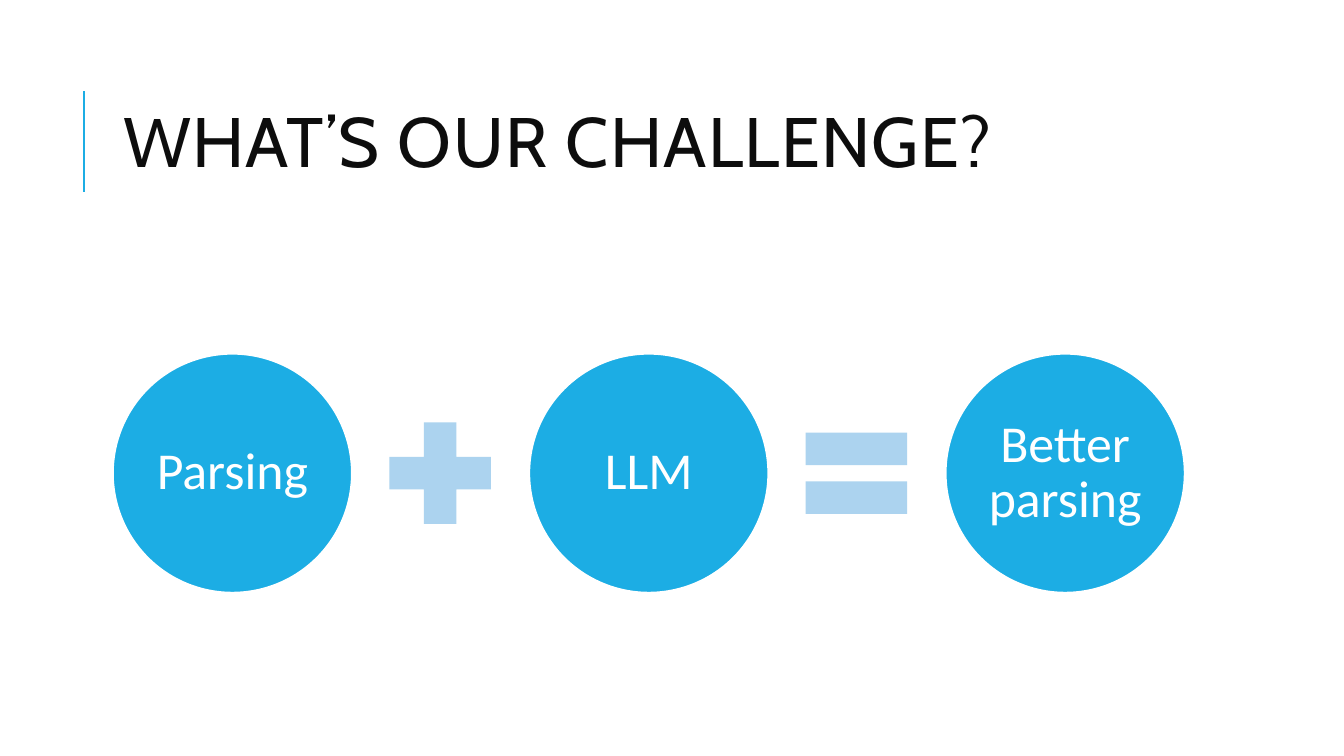
from pptx import Presentation
from pptx.dml.color import RGBColor
from pptx.enum.shapes import MSO_CONNECTOR, MSO_SHAPE
from pptx.enum.text import MSO_ANCHOR, MSO_AUTO_SIZE, PP_ALIGN
from pptx.oxml.ns import qn
from pptx.util import Pt
from lxml import etree

PX = 9144  # 100 px to the inch
COLORS = {"accent": "1CADE4", "operator": "ACD3EF", "title": "0D0D0D", "white": "FFFFFF"}
STRAIGHT = MSO_CONNECTOR.STRAIGHT
ELLIPSE, PLUS, EQUAL = MSO_SHAPE.OVAL, MSO_SHAPE.MATH_PLUS, MSO_SHAPE.MATH_EQUAL
MIDDLE, LEFT, CENTER = MSO_ANCHOR.MIDDLE, PP_ALIGN.LEFT, PP_ALIGN.CENTER
NO_AUTOFIT = MSO_AUTO_SIZE.NONE

TERMS = ["Parsing", "LLM", "Better parsing"]
OPERATORS = [PLUS, EQUAL]


def px(*lengths):
    return [length * PX for length in lengths]


def color(name):
    return RGBColor.from_string(COLORS[name])


def set_all(target, values):
    for name, value in values.items():
        setattr(target, name, value)


def write_text(shape, text, align, line_spacing, space_after, font):
    frame = shape.text_frame
    set_all(frame, {"word_wrap": True, "auto_size": NO_AUTOFIT, "vertical_anchor": MIDDLE})
    paragraph = frame.paragraphs[0]
    set_all(paragraph, {"alignment": align, "line_spacing": line_spacing,
                        "space_after": Pt(space_after)})
    run = paragraph.add_run()
    run.text = text
    name, size, color_name = font
    set_all(run.font, {"name": name, "size": Pt(size)})
    run.font.color.rgb = color(color_name)
    return run


def add_title(slide, left, top, width, height):
    rule_left, rule_top, rule_bottom = left - 29, top + 26, top + 126
    rule = slide.shapes.add_connector(STRAIGHT, *px(rule_left, rule_bottom, rule_left, rule_top))
    rule.line.color.rgb = color("accent")
    rule.line.width = Pt(1.5)
    etree.SubElement(rule._element.spPr, qn("a:effectLst"))

    title = slide.shapes.title
    set_all(title, dict(zip(("left", "top", "width", "height"), px(left, top, width, height))))
    run = write_text(title, "WHAT’S OUR CHALLENGE?", LEFT, 0.8, 0, ("Cabin", 50, "title"))
    run.font._element.set("spc", "100")


def add_filled_shape(slide, kind, fill, left, top, size):
    shape = slide.shapes.add_shape(kind, *px(left, top, size, size))
    shape.shadow.inherit = False
    shape.fill.solid()
    shape.fill.fore_color.rgb = color(fill)
    shape.line.fill.background()
    return shape


def add_term(slide, text, left, top, size):
    circle = add_filled_shape(slide, ELLIPSE, "accent", left, top, size)
    circle.line.color.rgb = color("white")
    circle.line.width = Pt(1.25)
    sides = ("margin_left", "margin_top", "margin_right", "margin_bottom")
    set_all(circle.text_frame, dict.fromkeys(sides, 5 * PX))
    write_text(circle, text, CENTER, 0.9, 13, ("Calibri", 37, "white"))


def add_equation(slide, left, top, width, height):
    """Spread the circles over the width and centre an operator in each gap."""
    circle_size, operator_size = height, 137
    pitch = (width - circle_size) // (len(TERMS) - 1)
    operator_offset = (pitch + circle_size - operator_size) // 2
    operator_top = top + (height - operator_size) // 2
    for index, term in enumerate(TERMS):
        add_term(slide, term, left + index * pitch, top, circle_size)
    for index, operator in enumerate(OPERATORS):
        add_filled_shape(slide, operator, "operator",
                         left + index * pitch + operator_offset, operator_top, operator_size)


def main():
    presentation = Presentation()
    presentation.slide_width, presentation.slide_height = px(1333, 750)
    title_only = presentation.slide_layouts[5]
    slide = presentation.slides.add_slide(title_only)
    add_title(slide, 112, 64, 1063, 164)
    add_equation(slide, 112, 351, 1063, 237)
    presentation.save("out.pptx")


if __name__ == "__main__":
    main()
